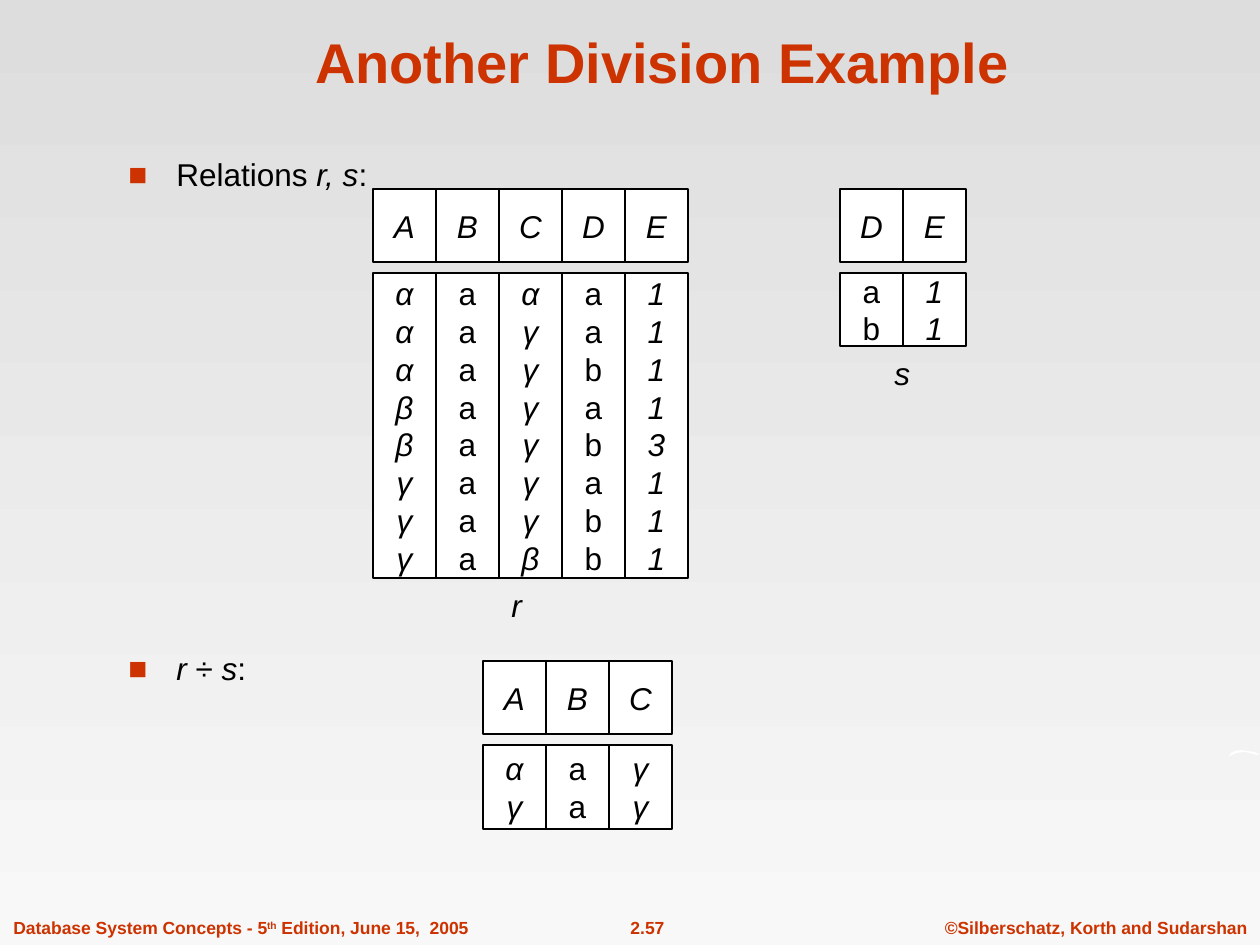
from dataclasses import dataclass

from lxml.etree import SubElement
from pptx import Presentation
from pptx.dml.color import RGBColor
from pptx.enum.shapes import MSO_SHAPE
from pptx.enum.text import MSO_ANCHOR, PP_ALIGN
from pptx.oxml.ns import qn
from pptx.util import Pt

SCALE = 7257.14  # EMU per px, at 126 px to the inch


@dataclass(frozen=True)
class Theme:
    face: str = "Arial"
    accent: RGBColor = RGBColor(0xCC, 0x33, 0x00)
    ink: RGBColor = RGBColor(0, 0, 0)
    paper: RGBColor = RGBColor(255, 255, 255)
    top: RGBColor = RGBColor(0xDD, 0xDD, 0xDD)
    base: RGBColor = RGBColor(0xF8, 0xF8, 0xF8)
    title: int = 32
    body: int = 18
    small: int = 10
    rule: float = 0.75
    leading: float = 1.2


THEME = Theme()
COL, HEAD, STEP = 63, 73, 84  # column width, header height, header to body


def px(*lengths):
    return [round(n * SCALE) for n in lengths]


def style(para, size, color, align=PP_ALIGN.CENTER, bold=None, italic=None):
    para.alignment = align
    para.line_spacing = Pt(size * THEME.leading)
    font = para.font
    font.name, font.size, font.bold, font.italic = THEME.face, Pt(size), bold, italic
    font.color.rgb = color


def add_text(slide, box, text, size, color, anchor=MSO_ANCHOR.TOP, **look):
    """Add a one-line text box and return its paragraph."""
    frame = slide.shapes.add_textbox(*px(*box)).text_frame
    frame.word_wrap = False
    frame.vertical_anchor = anchor
    para = frame.paragraphs[0]
    para.text = text
    style(para, size, color, **look)
    return para


def add_bullet(slide, box, parts):
    """Add a square-bulleted line; parts are (text, italic) pairs."""
    para = add_text(slide, box, "", THEME.body, THEME.ink, align=PP_ALIGN.LEFT)
    for text, italic in parts:
        run = para.add_run()
        run.text = text
        run.font.italic = italic
    props = para._p.get_or_add_pPr()
    indent = px(48)[0]
    props.set("marL", str(indent))
    props.set("indent", str(-indent))
    color = SubElement(props, qn("a:buClr"))
    SubElement(color, qn("a:srgbClr")).set("val", str(THEME.accent))
    SubElement(props, qn("a:buFont")).set("typeface", THEME.face)
    SubElement(props, qn("a:buChar")).set("char", "■")
    # The schema wants the default run properties after the bullet.
    props.append(props.find(qn("a:defRPr")))


def add_cell(slide, box, lines, italic):
    cell = slide.shapes.add_shape(MSO_SHAPE.RECTANGLE, *px(*box))
    cell.shadow.inherit = False
    cell.fill.solid()
    cell.fill.fore_color.rgb = THEME.paper
    cell.line.color.rgb = THEME.ink
    cell.line.width = Pt(THEME.rule)
    frame = cell.text_frame
    frame.word_wrap = False
    frame.vertical_anchor = MSO_ANCHOR.MIDDLE
    frame.text = "\n".join(lines)
    for para in frame.paragraphs:
        style(para, THEME.body, THEME.ink, italic=italic)


def add_relation(slide, left, top, height, columns):
    """Draw a header row and, below it, one tall box per (name, values) column."""
    for i, (name, values) in enumerate(columns):
        x = left + i * COL
        add_cell(slide, (x, top, COL, HEAD), name, True)
        add_cell(slide, (x, top + STEP, COL, height), values, values[0] not in "ab")


def add_label(slide, box, name):
    add_text(slide, box, name, THEME.body, THEME.ink, MSO_ANCHOR.MIDDLE, italic=True)


def add_footer(slide):
    look = dict(size=THEME.small, color=THEME.accent, bold=True)
    add_text(slide, (932, 911, 328, 34), "©Silberschatz, Korth and Sudarshan", **look)
    add_text(slide, (586, 911, 123, 34), "2.57", **look)
    book = add_text(slide, (1, 911, 480, 34), "Database System Concepts - 5",
                    align=PP_ALIGN.LEFT, **look)
    power, rest = book.add_run(), book.add_run()
    power.text, rest.text = "th", " Edition, June 15,  2005"
    power._r.get_or_add_rPr().set("baseline", "30000")


def add_wave(slide):
    points = [(1229, 757), (1231, 753), (1235, 751), (1241, 750), (1247, 751),
              (1254, 752), (1260, 754), (1257, 755), (1250, 753), (1244, 752),
              (1236, 753), (1232, 755)]
    pen = slide.shapes.build_freeform(*points[0], scale=SCALE)
    pen.add_line_segments(points[1:], close=True)
    wave = pen.convert_to_shape()
    wave.shadow.inherit = False
    wave.fill.solid()
    wave.fill.fore_color.rgb = THEME.paper
    wave.line.fill.background()


def paint_back(slide):
    fill = slide.background.fill
    fill.gradient()
    fill.gradient_angle = 270
    for stop, color in zip(fill.gradient_stops, (THEME.top, THEME.base)):
        stop.color.rgb = color


def main():
    deck = Presentation()
    deck.slide_width, deck.slide_height = px(1260, 945)
    slide = deck.slides.add_slide(deck.slide_layouts[6])
    paint_back(slide)
    add_footer(slide)
    add_wave(slide)
    add_text(slide, (106, 16, 1113, 85), "Another Division Example", THEME.title,
             THEME.accent, MSO_ANCHOR.BOTTOM, bold=True)

    add_bullet(slide, (116, 149, 294, 45),
               [("Relations ", False), ("r, s", True), (":", False)])
    add_relation(slide, 373, 189, 305, [
        ("A", "αααββγγγ"), ("B", "aaaaaaaa"), ("C", "αγγγγγγβ"),
        ("D", "aabababb"), ("E", "11113111")])
    add_label(slide, (499, 580, 35, 50), "r")
    add_relation(slide, 840, 189, 73, [("D", "ab"), ("E", "11")])
    add_label(slide, (882, 348, 40, 50), "s")

    add_bullet(slide, (116, 643, 179, 45),
               [("r ", True), ("÷ ", False), ("s", True), (":", False)])
    add_relation(slide, 483, 661, 84, [("A", "αγ"), ("B", "aa"), ("C", "γγ")])
    deck.save("out.pptx")


if __name__ == "__main__":
    main()
